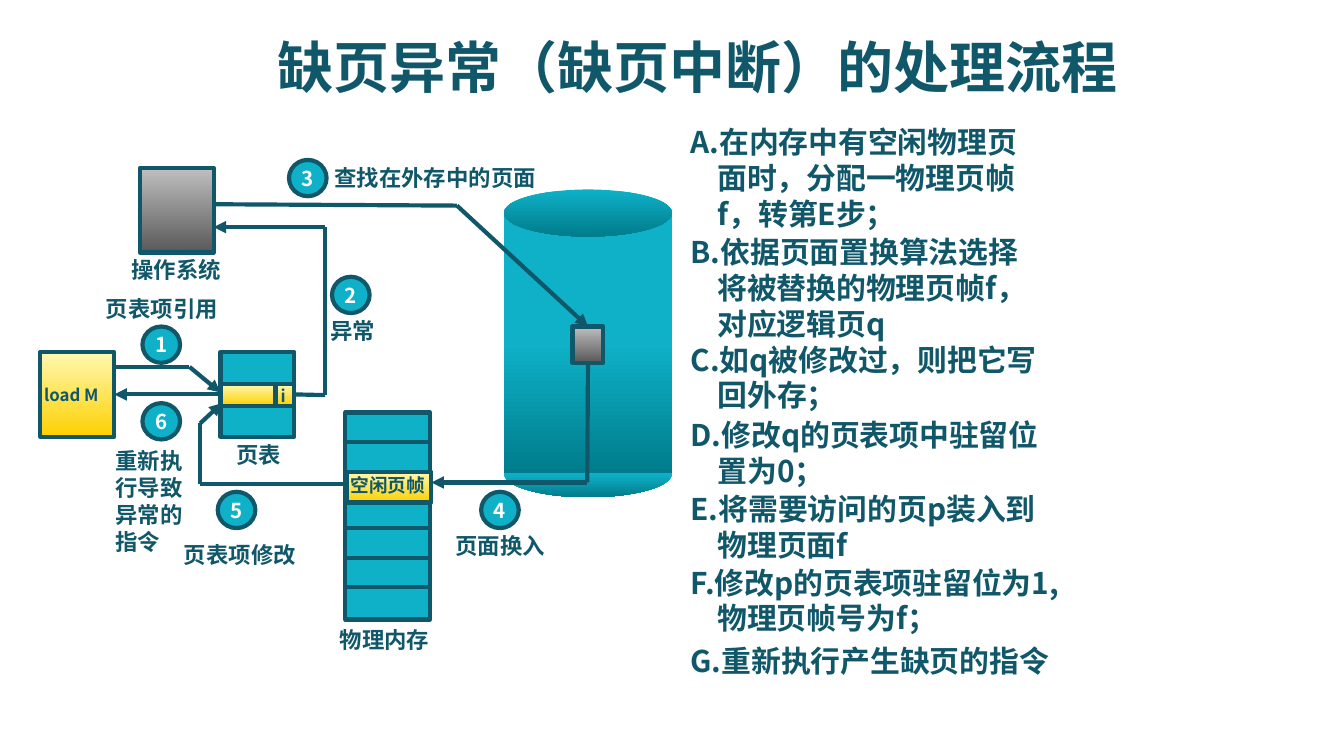
from pptx import Presentation
from pptx.dml.color import RGBColor
from pptx.enum import shapes, text
from pptx.oxml.ns import qn
from pptx.util import Inches, Pt
from lxml import etree

INK = RGBColor(0x11, 0x57, 0x6A)
CYAN = RGBColor(0x0E, 0xB1, 0xC8)
DEEP_CYAN = RGBColor(0x00, 0x7C, 0x8B)
PALE_YELLOW = RGBColor(0xFF, 0xF9, 0xB1)
YELLOW = RGBColor(0xFD, 0xD0, 0x00)
SILVER = RGBColor(0xBF, 0xBF, 0xBF)
GREY = RGBColor(0x59, 0x59, 0x59)
WHITE = RGBColor(0xFF, 0xFF, 0xFF)

FONT = "Noto Sans CJK SC"
LINE = Pt(2.25)
GOLD = (PALE_YELLOW, YELLOW)
STEEL = (SILVER, GREY)
OVAL = shapes.MSO_SHAPE.OVAL
RECTANGLE = shapes.MSO_SHAPE.RECTANGLE
TOP, LEFT, BOTTOM, RIGHT = range(4)

# Left, top, width, height, wording, size
LABELS = [
    (2.39, 1.17, 1.87, 0.3, "查找在外存中的页面", 12),
    (0.69, 2.15, 1.1, 0.3, "页表项引用", 12),
    (2.36, 2.31, 0.6, 0.3, "异常", 12),
    (0.23, 2.81, 0.7, 0.26, "load M", 9),
    (0.76, 3.28, 0.79, 0.91, "重新执行导致异常的指令", 12),
    (1.99, 2.82, 0.23, 0.25, "i", 9),
    (1.66, 3.23, 1.2, 0.3, "页表", 12),
    (1.27, 3.98, 1.19, 0.3, "页表项修改", 12),
    (3.29, 3.91, 1.21, 0.3, "页面换入", 12),
    (2.51, 3.48, 0.86, 0.27, "空闲页帧", 10),
    (2.43, 4.61, 1.02, 0.3, "物理内存", 12),
    (0.88, 1.86, 1.02, 0.3, "操作系统", 12),
]

# Number, left, top
BADGES = [(1, 1.06, 2.43), (2, 2.47, 2.06), (3, 2.15, 1.19),
          (4, 3.58, 3.66), (5, 1.62, 3.66), (6, 1.06, 3)]

# Top, width, height, wording
STEPS = [
    (0.87, 2.8, 0.91, "在内存中有空闲物理页面时，分配一物理页帧f，转第E步；"),
    (1.69, 2.8, 0.91, "B.依据页面置换算法选择将被替换的物理页帧f，对应逻辑页q"),
    (2.49, 2.88, 0.64, "C.如q被修改过，则把它写回外存；"),
    (3.05, 2.95, 0.64, "D.修改q的页表项中驻留位置为0；"),
    (3.6, 2.88, 0.64, "E.将需要访问的页p装入到物理页面f"),
    (4.15, 3.03, 0.64, "F.修改p的页表项驻留位为1,物理页帧号为f；"),
    (4.73, 3.03, 0.37, "G.重新执行产生缺页的指令"),
]


def write(frame, words, size=12, color=INK, align=None, spacing=None,
          hanging=0, numbered=False):
    """Put one bold paragraph into a text frame."""
    paragraph = frame.paragraphs[0]
    paragraph.alignment = align
    paragraph.line_spacing = spacing
    properties = paragraph._p.get_or_add_pPr()
    if hanging:
        properties.set("marL", str(Inches(hanging)))
        properties.set("indent", str(-Inches(hanging)))
    if numbered:
        etree.SubElement(properties, qn("a:buAutoNum"), type="alphaUcPeriod")
    run = paragraph.add_run()
    run.text = words
    run.font.size = Pt(size)
    run.font.bold = True
    run.font.name = FONT
    run.font.color.rgb = color
    etree.SubElement(run._r.get_or_add_rPr(), qn("a:ea"), typeface=FONT)


def add_label(slide, left, top, width, height, words, size, **style):
    box = slide.shapes.add_textbox(
        Inches(left), Inches(top), Inches(width), Inches(height))
    box.text_frame.word_wrap = True
    write(box.text_frame, words, size, **style)


def add_block(slide, left, top, width, height, fill, kind=RECTANGLE,
              outlined=True, start=0):
    """Fill is one colour, or a (top, bottom) pair for a gradient."""
    block = slide.shapes.add_shape(
        kind, Inches(left), Inches(top), Inches(width), Inches(height))
    block.shadow.inherit = False
    if isinstance(fill, RGBColor):
        block.fill.solid()
        block.fill.fore_color.rgb = fill
    else:
        block.fill.gradient()
        block.fill.gradient_angle = 270
        for stop, color, position in zip(
                block.fill.gradient_stops, fill, (start, 1)):
            stop.color.rgb = color
            stop.position = position
    if outlined:
        block.line.color.rgb = INK
        block.line.width = LINE
    else:
        block.line.fill.background()
    return block


def add_badge(slide, number, left, top):
    badge = add_block(slide, left, top, 0.28, 0.27, CYAN, OVAL)
    frame = badge.text_frame
    frame.word_wrap = False
    frame.vertical_anchor = text.MSO_ANCHOR.MIDDLE
    write(frame, str(number), 11, color=WHITE, align=text.PP_ALIGN.CENTER)


def add_route(slide, *points, arrow=True, begin=None, end=None):
    """Straight segments through the points; begin and end are (shape, side)."""
    segments = []
    for (x1, y1), (x2, y2) in zip(points, points[1:]):
        segment = slide.shapes.add_connector(
            shapes.MSO_CONNECTOR.STRAIGHT,
            Inches(x1), Inches(y1), Inches(x2), Inches(y2))
        segment.line.color.rgb = INK
        segment.line.width = LINE
        etree.SubElement(segment._element.spPr, qn("a:effectLst"))
        segments.append(segment)
    if begin:
        segments[0].begin_connect(*begin)
    if end:
        segments[-1].end_connect(*end)
    if arrow:
        etree.SubElement(segments[-1].line._get_or_add_ln(),
                         qn("a:tailEnd"), type="triangle")


def add_disk(slide):
    water = (CYAN, DEEP_CYAN)
    add_block(slide, 3.75, 3.35, 1.25, 0.35, water, OVAL, False, 0.5)
    add_block(slide, 3.75, 1.6, 1.25, 1.92, water, outlined=False, start=0.5)
    add_block(slide, 3.75, 1.41, 1.25, 0.35, water, OVAL, False)
    return add_block(slide, 4.26, 2.43, 0.23, 0.27, STEEL)


def add_page_table(slide):
    table = add_block(slide, 1.64, 2.62, 0.55, 0.63, CYAN)
    add_block(slide, 1.64, 2.86, 0.55, 0.16, GOLD)
    add_route(slide, (2.05, 2.86), (2.05, 3.02), arrow=False)
    return table


def add_memory(slide):
    add_block(slide, 2.57, 3.07, 0.63, 1.54, CYAN)
    add_block(slide, 2.58, 3.51, 0.63, 0.23, GOLD)
    for y in [3.29] + [3.93 + 0.22 * i for i in range(3)]:
        add_route(slide, (2.58, y), (3.21, y), arrow=False)


def main():
    deck = Presentation()
    deck.slide_width = Inches(10)
    deck.slide_height = deck.slide_width * 9 // 16
    slide = deck.slides.add_slide(deck.slide_layouts[6])

    add_label(slide, 1.87, 0.23, 6.64, 0.58, "缺页异常（缺页中断）的处理流程", 30,
              align=text.PP_ALIGN.CENTER, spacing=0.95)

    # Hardware and software parts
    disk_page = add_disk(slide)
    system = add_block(slide, 1.04, 1.25, 0.55, 0.63, STEEL)
    program = add_block(slide, 0.3, 2.62, 0.55, 0.63, GOLD)
    page_table = add_page_table(slide)
    add_memory(slide)

    # Routes, in the order of the numbered steps
    add_route(slide, (0.86, 2.73), (1.41, 2.73), (1.64, 2.92))
    add_route(slide, (2.19, 2.94), (2.42, 2.94), (2.42, 1.69), (1.59, 1.69),
              begin=(page_table, RIGHT))
    add_route(slide, (1.6, 1.52), (3.4, 1.53), (4.37, 2.43),
              end=(disk_page, TOP))
    add_route(slide, (4.37, 2.7), (4.37, 3.59), (3.21, 3.59),
              begin=(disk_page, BOTTOM))
    add_route(slide, (2.57, 3.6), (1.49, 3.6), (1.49, 3.15), (1.65, 3))
    add_route(slide, (1.64, 2.94), (0.86, 2.94),
              begin=(page_table, LEFT), end=(program, RIGHT))

    # Numbers and captions
    for badge in BADGES:
        add_badge(slide, *badge)
    for label in LABELS:
        add_label(slide, *label)

    # Written steps; the first letter is an automatic number
    for i, (top, width, height, words) in enumerate(STEPS):
        add_label(slide, 5.04, top, width, height, words, 16,
                  hanging=0.2, numbered=i == 0)

    deck.save("out.pptx")


if __name__ == "__main__":
    main()
